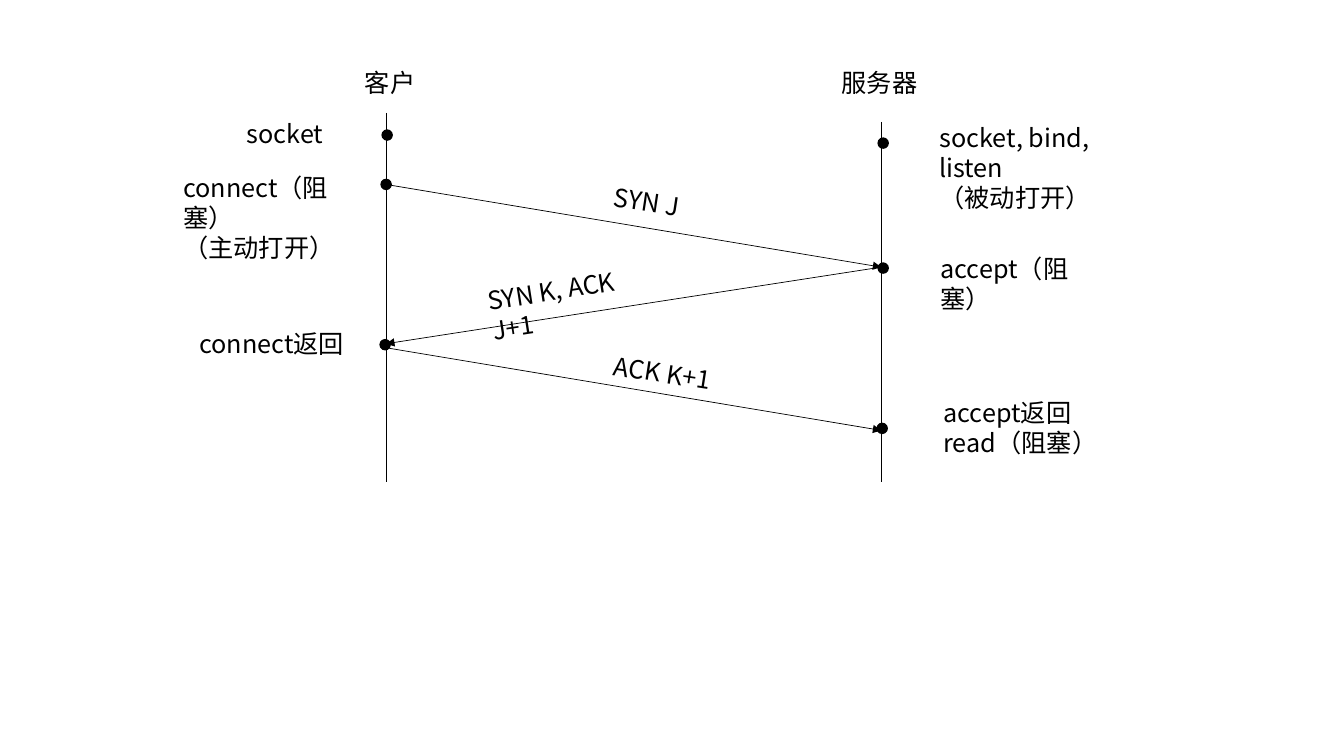
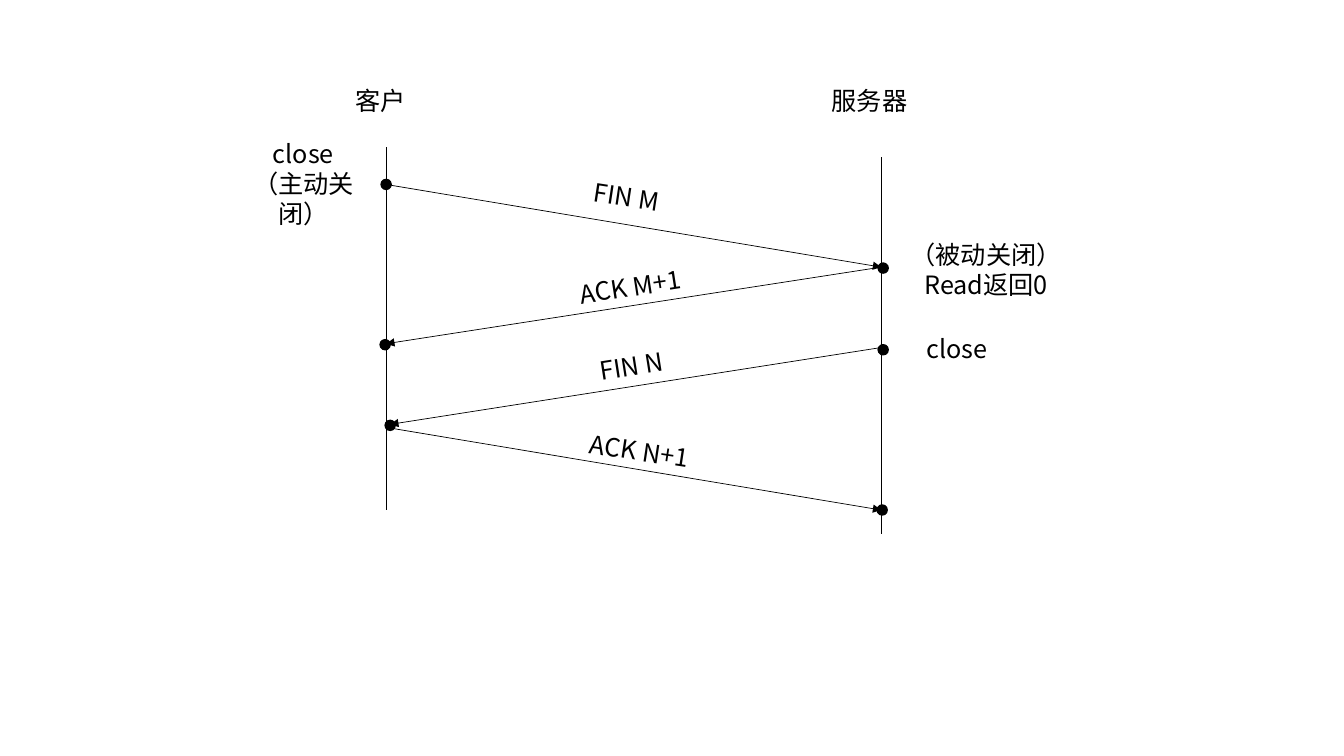
from lxml import etree
from pptx import Presentation
from pptx.dml.color import RGBColor
from pptx.enum import shapes, text
from pptx.oxml.ns import qn
from pptx.util import Inches, Pt

BLACK = RGBColor(0, 0, 0)
FONT = "Noto Sans CJK SC"
FONT_FORMAT = {"name": FONT, "size": Pt(18)}
FRAME_FORMAT = {"word_wrap": True, "auto_size": text.MSO_AUTO_SIZE.SHAPE_TO_FIT_TEXT}
CENTER = text.PP_ALIGN.CENTER

# Time lines: left edge, first message level and distance between the lanes
BOX = (3.83, 1.83, 4.91)
DOT = 0.1
DOWN_RIGHT, DOWN_LEFT = 8.8, -8.9


def add_label(s, lines, x, y, w, align=None, rotation=0):
    """Text box with one paragraph for each line."""
    sp = s.shapes.add_textbox(Inches(x), Inches(y), Inches(w),
                              Inches(0.09 + 0.31 * len(lines)))
    sp.rotation = rotation
    tf = sp.text_frame
    for key, value in FRAME_FORMAT.items():
        setattr(tf, key, value)
    for i, line in enumerate(lines):
        p = tf.paragraphs[0] if i == 0 else tf.add_paragraph()
        p.alignment = align
        r = p.add_run()
        r.text = line
        for key, value in FONT_FORMAT.items():
            setattr(r.font, key, value)
        r.font.color.rgb = BLACK
        etree.SubElement(r._r.get_or_add_rPr(), qn("a:ea"), typeface=FONT)


def add_line(s, x1, y1, x2, y2, arrow=False):
    """Thin line, with an arrowhead at its end if asked."""
    sp = s.shapes.add_connector(shapes.MSO_CONNECTOR.STRAIGHT,
                                *map(Inches, (x1, y1, x2, y2)))
    sp.line.color.rgb = BLACK
    sp.line.width = Pt(0.5)
    if arrow:
        etree.SubElement(sp.line._get_or_add_ln(), qn("a:tailEnd"), type="triangle")
    etree.SubElement(sp._element.spPr, qn("a:effectLst"))


def add_dot(s, x, y):
    """Event mark centred on a point."""
    sp = s.shapes.add_shape(shapes.MSO_SHAPE.OVAL, Inches(x - DOT / 2),
                            Inches(y - DOT / 2), Inches(DOT), Inches(DOT))
    sp.shadow.inherit = False
    sp.fill.solid()
    sp.fill.fore_color.rgb = BLACK
    sp.line.color.rgb = BLACK
    sp.line.width = Pt(1)


def add_lane(s, x, top, lane):
    """Heading, time line and events of one side."""
    dx, dy, w = lane["heading_at"]
    add_label(s, [lane["heading"]], x + dx, top + dy, w)
    start, end = lane["span"]
    add_line(s, x, top + start, x, top + end)
    for dx, dy in lane["dots"]:
        add_dot(s, x + dx, top + dy)


def add_sequence(prs, box, client, server, messages, notes):
    """Slide with two lanes, the messages between them and the notes beside."""
    s = prs.slides.add_slide(prs.slide_layouts[6])
    left, top, width = box
    for label, (x1, y1), (x2, y2), (dx, dy, w) in messages:
        add_line(s, left + x1, top + y1, left + x2, top + y2, arrow=True)
        add_label(s, [label], left + dx, top + dy, w,
                  rotation=DOWN_RIGHT if x2 > x1 else DOWN_LEFT)
    for lines, (dx, dy, w), align in notes:
        add_label(s, lines, left + dx, top + dy, w, align)
    add_lane(s, left, top, {"heading": "客户", **client})
    add_lane(s, left + width, top, {"heading": "服务器", **server})


def add_handshake(prs):
    """Opening a connection."""
    client = {"heading_at": (-0.31, -1.21, 0.79), "span": (-0.71, 2.95),
              "dots": [(0.01, -0.49), (0, 0), (-0.01, 1.59)]}
    server = {"heading_at": (-0.49, -1.21, 1.2), "span": (-0.62, 2.95),
              "dots": [(0.02, -0.41), (0.02, 0.83), (0.01, 2.42)]}
    far = BOX[2]
    messages = [
        ("SYN J", (0, 0), (far, 0.82), (2.16, -0.02, 0.95)),
        ("SYN K, ACK J+1", (far, 0.82), (0, 1.58), (0.9, 0.82, 1.89)),
        ("ACK K+1", (0, 1.62), (far, 2.44), (2.16, 1.67, 1.18)),
    ]
    notes = [
        (["socket"], (-1.48, -0.71, 1.2), None),
        (["connect（阻塞）", "（主动打开）"], (-2.11, -0.17, 1.83), None),
        (["connect返回"], (-1.95, 1.38, 1.8), None),
        (["socket, bind, listen", "（被动打开）"], (5.39, -0.67, 2.37), None),
        (["accept（阻塞）"], (5.4, 0.63, 1.92), None),
        (["accept返回", "read（阻塞）"], (5.43, 2.06, 1.83), None),
    ]
    add_sequence(prs, BOX, client, server, messages, notes)


def add_teardown(prs):
    """Closing a connection."""
    client = {"heading_at": (-0.4, -1.03, 0.79), "span": (-0.37, 3.23),
              "dots": [(0, 0), (-0.01, 1.59), (0.04, 2.39)]}
    server = {"heading_at": (-0.59, -1.03, 1.2), "span": (-0.27, 3.47),
              "dots": [(0.02, 0.83), (0.02, 1.64), (0.01, 3.23)]}
    far = BOX[2]
    messages = [
        ("FIN M", (0, 0), (far, 0.82), (1.96, -0.07, 0.95)),
        ("ACK M+1", (far, 0.82), (0, 1.58), (1.82, 0.8, 1.36)),
        ("FIN N", (far + 0.05, 1.61), (0.04, 2.38), (2.02, 1.59, 0.97)),
        ("ACK N+1", (0, 2.41), (far, 3.23), (1.92, 2.45, 1.29)),
    ]
    notes = [
        (["close", "（主动关闭）"], (-1.65, -0.51, 1.66), CENTER),
        (["（被动关闭）", "Read返回0"], (4.99, 0.49, 1.92), CENTER),
        (["close"], (5.26, 1.43, 1.51), None),
    ]
    add_sequence(prs, BOX, client, server, messages, notes)


def main():
    prs = Presentation()
    prs.slide_width, prs.slide_height = Inches(13.33), Inches(7.5)
    add_handshake(prs)
    add_teardown(prs)
    prs.save("out.pptx")


if __name__ == "__main__":
    main()
